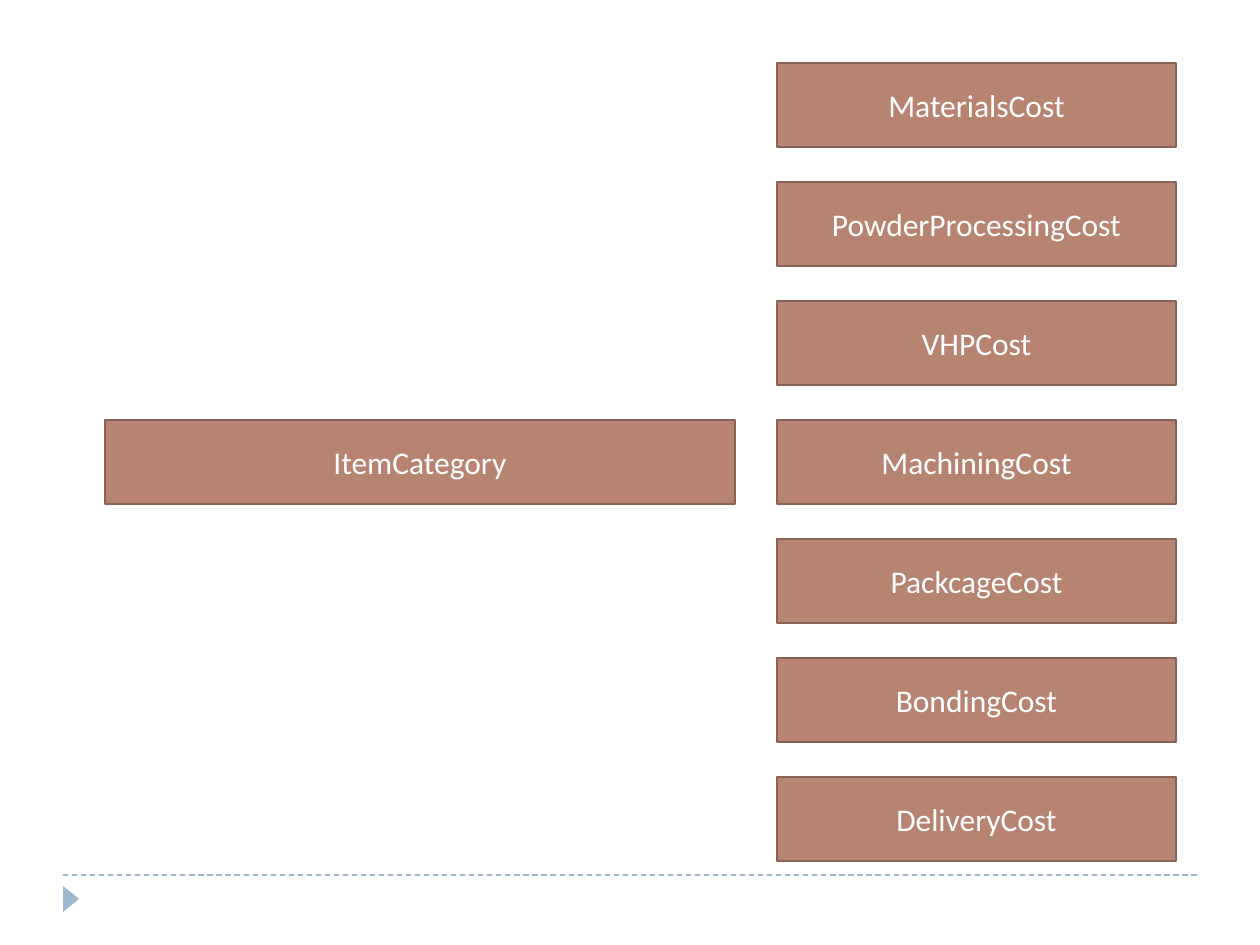
from pptx import Presentation
from pptx.dml.color import RGBColor
from pptx.enum.dml import MSO_LINE
from pptx.enum.shapes import MSO_CONNECTOR, MSO_SHAPE as Kind
from pptx.enum.text import MSO_ANCHOR, PP_ALIGN
from pptx.oxml.ns import qn
from pptx.util import Pt
from lxml.etree import SubElement

PX = 914400 // 126  # EMU in one pixel


def rgb(code):
    """Turn a hex string into a colour."""
    return RGBColor.from_string(code)


def add_solid(kind, left, top, width, height, color):
    """Add a filled preset shape without shadow, placed in pixels."""
    shape = shapes.add_shape(kind, left * PX, top * PX, width * PX, height * PX)
    shape.shadow.inherit = False
    shape.fill.solid()
    shape.fill.fore_color.rgb = rgb(color)
    return shape


deck = Presentation()
deck.slide_width = 1260 * PX
deck.slide_height = 945 * PX
slide = deck.slides.add_slide(deck.slide_layouts[6])
shapes = slide.shapes

# Footer rule and marker
rule = shapes.add_connector(
    MSO_CONNECTOR.STRAIGHT, 63 * PX, 875 * PX, 1197 * PX, 875 * PX)
rule.line.color.rgb = rgb("9FB8CD")
rule.line.width = Pt(0.75)
rule.line.dash_style = MSO_LINE.DASH
SubElement(rule._element.spPr, qn("a:effectLst"))

marker = add_solid(Kind.ISOSCELES_TRIANGLE, 58, 891, 26, 16, "9FB8CD")
marker.rotation = 90
marker.line.fill.background()

# Category box, then the column of costs
costs = ["MaterialsCost", "PowderProcessingCost", "VHPCost", "MachiningCost",
         "PackcageCost", "BondingCost", "DeliveryCost"]
first, step = 63, 119
boxes = [("ItemCategory", 105, first + 3 * step, 630)]
boxes += [(cost, 777, first + i * step, 399) for i, cost in enumerate(costs)]

for label, left, top, width in boxes:
    box = add_solid(Kind.RECTANGLE, left, top, width, 84, "B88472")
    box.line.color.rgb = rgb("886254")
    box.line.width = Pt(1.5)
    frame = box.text_frame
    frame.vertical_anchor = MSO_ANCHOR.MIDDLE
    para = frame.paragraphs[0]
    para.text = label
    para.alignment = PP_ALIGN.CENTER
    para.font.name = "Calibri"
    para.font.size = Pt(18)
    para.font.color.rgb = rgb("FFFFFF")

deck.save("out.pptx")
